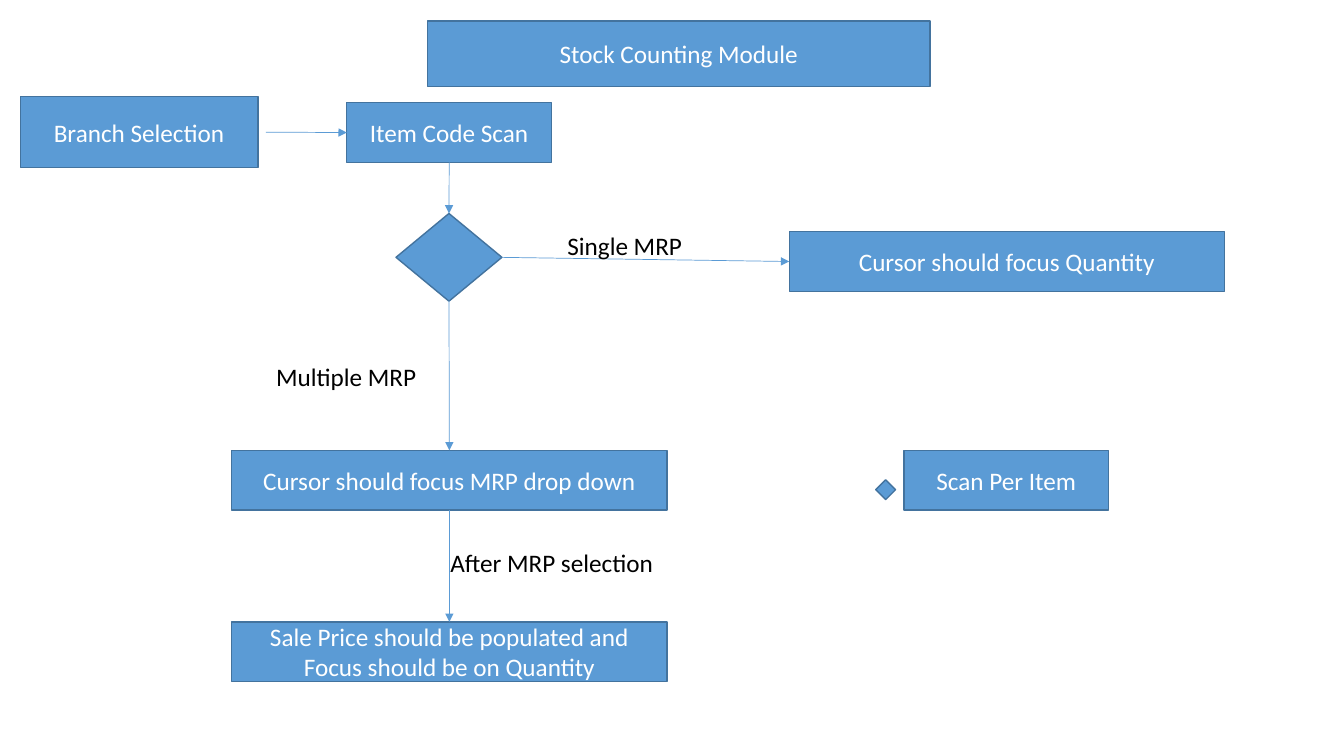
from dataclasses import dataclass

from pptx import Presentation
from pptx.dml.color import RGBColor
from pptx.enum.shapes import MSO_CONNECTOR, MSO_SHAPE
from pptx.enum.text import MSO_ANCHOR, MSO_AUTO_SIZE, PP_ALIGN
from pptx.oxml.ns import qn
from pptx.util import Cm, Pt
from lxml.etree import SubElement


@dataclass(frozen=True)
class Theme:
    fill: RGBColor = RGBColor(0x5B, 0x9B, 0xD5)
    outline: RGBColor = RGBColor(0x43, 0x73, 0x9E)
    light: RGBColor = RGBColor(0xFF, 0xFF, 0xFF)
    dark: RGBColor = RGBColor(0, 0, 0)
    font: str = "Calibri"
    size: Pt = Pt(18)
    outline_width: Pt = Pt(1)
    arrow_width: Pt = Pt(0.5)


@dataclass(frozen=True)
class Box:
    """A rectangle in centimetres."""
    left: float
    top: float
    width: float
    height: float

    def inside(self, left, top, width, height):
        return Box(self.left + left, self.top + top, width, height)

    def lengths(self):
        return [Cm(side) for side in (self.left, self.top, self.width, self.height)]


THEME = Theme()
TOP, LEFT, BOTTOM, RIGHT = range(4)  # connection sites
STEP_HEIGHT = 1.5
SHORT_STEP, LONG_STEP = 5.16, 10.97


def write_text(shape, text, color=THEME.light, align=PP_ALIGN.CENTER,
               anchor=MSO_ANCHOR.MIDDLE, wrap=True, auto_size=MSO_AUTO_SIZE.NONE):
    frame = shape.text_frame
    frame.word_wrap = wrap
    frame.auto_size = auto_size
    frame.vertical_anchor = anchor
    para = frame.paragraphs[0]
    para.alignment = align
    span = para.add_run()
    span.text = text
    span.font.name = THEME.font
    span.font.size = THEME.size
    span.font.color.rgb = color


def paint(shape):
    shape.fill.solid()
    shape.fill.fore_color.rgb = THEME.fill
    shape.line.color.rgb = THEME.outline
    shape.line.width = THEME.outline_width


def add_node(page, box, text=None, kind=MSO_SHAPE.RECTANGLE):
    node = page.shapes.add_shape(kind, *box.lengths())
    node.shadow.inherit = False
    paint(node)
    if text:
        write_text(node, text)
    return node


def add_label(page, box, text):
    label = page.shapes.add_textbox(*box.lengths())
    write_text(label, text, color=THEME.dark, align=PP_ALIGN.LEFT,
               anchor=MSO_ANCHOR.TOP, wrap=False,
               auto_size=MSO_AUTO_SIZE.SHAPE_TO_FIT_TEXT)


def add_arrow(page, source, source_site, target, target_site, gap=None):
    """Join two nodes; with a gap, start that far right of the source."""
    start_x = source.left + source.width + (gap or 0)
    start_y = source.top + source.height // 2
    arrow = page.shapes.add_connector(
        MSO_CONNECTOR.STRAIGHT, start_x, start_y, target.left, start_y)
    if gap is None:
        arrow.begin_connect(source, source_site)
    arrow.end_connect(target, target_site)
    arrow.line.color.rgb = THEME.fill
    arrow.line.width = THEME.arrow_width
    SubElement(arrow.line._get_or_add_ln(), qn("a:tailEnd"), type="triangle")
    SubElement(arrow._element.spPr, qn("a:effectLst"))


def draw_header(page, box):
    title = page.shapes.title
    title.left, title.top, title.width, title.height = box.lengths()
    paint(title)
    write_text(title, "Stock Counting Module")


def draw_flow(page, box):
    def long_step(left, top, text):
        return add_node(page, box.inside(left, top, LONG_STEP, STEP_HEIGHT), text)

    # Steps
    branch = add_node(page, box.inside(0, 0, 5.99, 1.78), "Branch Selection")
    scan = add_node(page, box.inside(8.23, 0.15, SHORT_STEP, STEP_HEIGHT), "Item Code Scan")
    decision = add_node(page, box.inside(9.47, 2.94, 2.67, 2.21), kind=MSO_SHAPE.DIAMOND)
    quantity = long_step(19.38, 3.4, "Cursor should focus Quantity")
    drop_down = long_step(5.33, 8.91, "Cursor should focus MRP drop down")
    sale_price = long_step(
        5.33, 13.23, "Sale Price should be populated and Focus should be on Quantity")

    # Arrows
    add_arrow(page, branch, RIGHT, scan, LEFT, gap=Cm(0.2))
    add_arrow(page, decision, RIGHT, quantity, LEFT)
    column = (scan, decision, drop_down, sale_price)
    for upper, lower in zip(column, column[1:]):
        add_arrow(page, upper, BOTTOM, lower, TOP)

    # Arrow labels
    for text, left, top, width in (
            ("Single MRP", 13.54, 3.25, 3.43),
            ("Multiple MRP", 6.2, 6.53, 4.09),
            ("After MRP selection", 10.59, 11.23, 5.69)):
        add_label(page, box.inside(left, top, width, 1.02), text)


def draw_legend(page, box):
    add_node(page, box.inside(0, 0.74, 0.5, 0.5), kind=MSO_SHAPE.DIAMOND)
    add_node(page, box.inside(box.width - SHORT_STEP, 0, SHORT_STEP, box.height),
             "Scan Per Item")


def main():
    deck = Presentation()
    deck.slide_width, deck.slide_height = Cm(33.87), Cm(19.05)
    page = deck.slides.add_slide(deck.slide_layouts.get_by_name("Title Only"))
    draw_header(page, Box(10.77, 0.53, 12.67, 1.65))
    draw_flow(page, Box(0.51, 2.44, 30.35, 14.73))
    draw_legend(page, Box(22.07, 11.35, 5.87, STEP_HEIGHT))
    deck.save("out.pptx")


if __name__ == "__main__":
    main()
